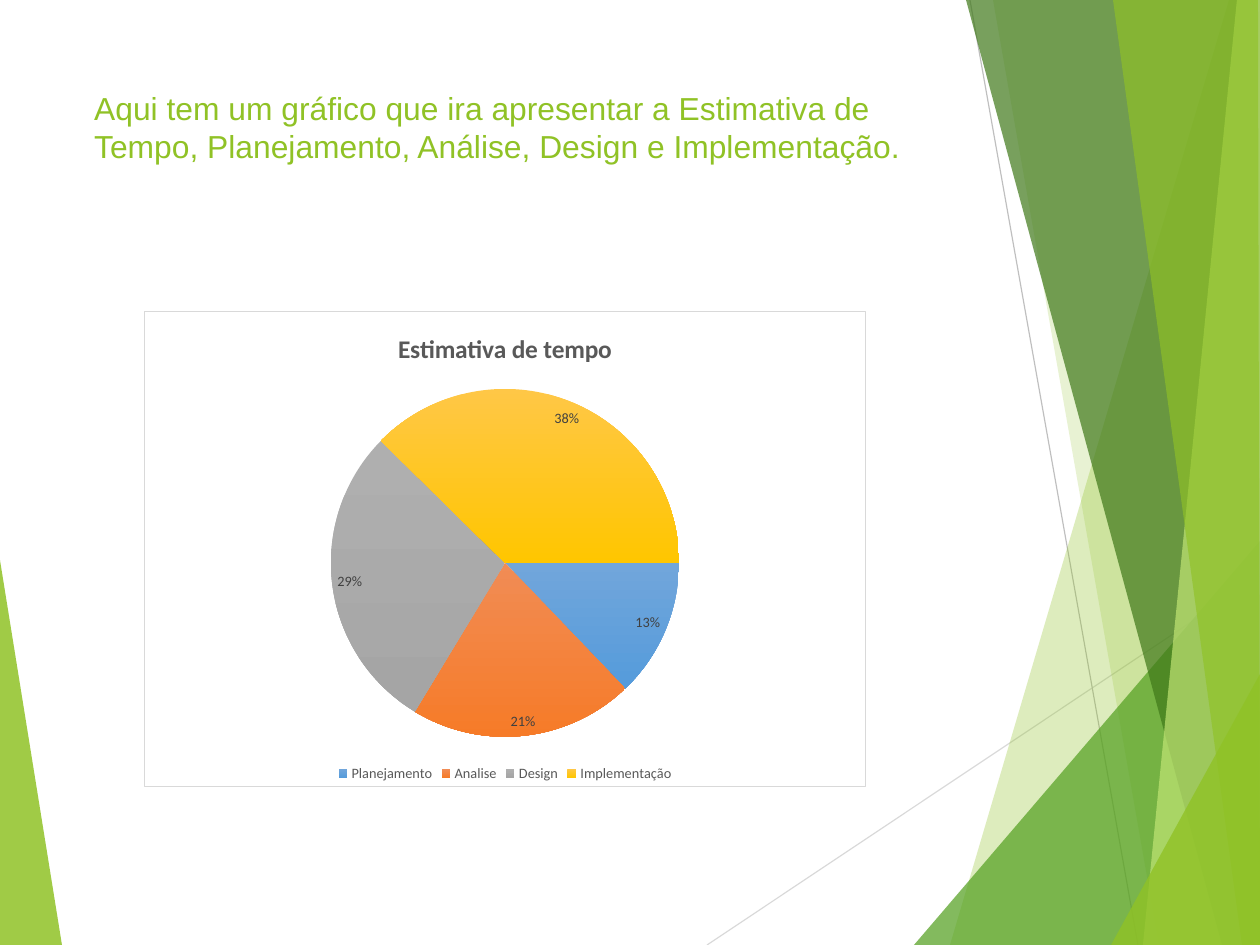
from lxml import etree
from pptx import Presentation
from pptx.chart.data import CategoryChartData
from pptx.dml.color import RGBColor
from pptx.enum.chart import XL_CHART_TYPE as CT, XL_LABEL_POSITION as LP, XL_LEGEND_POSITION as LEG
from pptx.enum.shapes import MSO_CONNECTOR as MC
from pptx.oxml import parse_xml
from pptx.oxml.ns import nsdecls, qn
from pptx.util import Pt

PX = 8000
GREEN = "90C226"
rgb = RGBColor.from_string


def style(font, size, color, name="Calibri", bold=False):
    font.size = Pt(size)
    font.color.rgb = rgb(color)
    font.name = name
    font.bold = bold


prs = Presentation()
prs.slide_width, prs.slide_height = 1260 * PX, 945 * PX
s = prs.slides.add_slide(prs.slide_layouts[6])

rays = [
    ("D9D9D9", (707, 945, 1260, 576)),
    ("BFBFBF", (970, 0, 1138, 945)),
]
for color, ends in rays:
    line = s.shapes.add_connector(MC.STRAIGHT, *[v * PX for v in ends])
    line.line.color.rgb = rgb(color)
    line.line.width = Pt(0.75)
    etree.SubElement(line._element.spPr, qn("a:effectLst"))

facets = [
    (GREEN, 85, [(0, 560), (62, 945), (0, 945)]),
    (GREEN, 30, [(1229, 0), (950, 945), (1260, 945), (1260, 0)]),
    (GREEN, 20, [(993, 0), (1159, 945), (1260, 945), (1260, 0)]),
    ("54A021", 72, [(914, 945), (1260, 541), (1260, 945)]),
    ("3F7819", 70, [(966, 0), (1222, 945), (1260, 945), (1260, 0)]),
    ("C0E474", 70, [(1237, 0), (1143, 945), (1260, 945), (1260, 0)]),
    (GREEN, 65, [(1113, 0), (1242, 945), (1260, 945), (1258, 0)]),
    (GREEN, 80, [(1111, 945), (1260, 674), (1260, 945)]),
]
for color, opacity, points in facets:
    fb = s.shapes.build_freeform(*points[0], scale=PX)
    fb.add_line_segments(points[1:], close=True)
    sp = fb.convert_to_shape()
    sp.shadow.inherit = False
    sp.line.fill.background()
    sp.fill.solid()
    sp.fill.fore_color.rgb = rgb(color)
    clr = sp._element.spPr.find(".//" + qn("a:srgbClr"))
    etree.SubElement(clr, qn("a:alpha"), val=str(opacity * 1000))

tf = s.shapes.add_textbox(83 * PX, 83 * PX, 875 * PX, 182 * PX).text_frame
tf.word_wrap = True
r = tf.paragraphs[0].add_run()
r.text = ("Aqui tem um gráfico que ira apresentar a Estimativa de Tempo, "
          "Planejamento, Análise, Design e Implementação.")
style(r.font, 20, GREEN, "Arial")

slices = [
    ("Planejamento", 13, "71A6DB", "559BDB"),
    ("Analise", 21, "F18C55", "F67B28"),
    ("Design", 29, "AFAFAF", "A5A5A5"),
    ("Implementação", 38, "FFC746", "FFC600"),
]
data = CategoryChartData()
data.categories = [row[0] for row in slices]
data.add_series("Estimativa de tempo", [row[1] for row in slices])
chart = s.shapes.add_chart(CT.PIE, 144 * PX, 311 * PX, 722 * PX, 476 * PX, data).chart
style(chart.font, 10, "000000")

chart.has_title = True
r = chart.chart_title.text_frame.paragraphs[0].add_run()
r.text = "Estimativa de tempo"
style(r.font, 16, "595959", bold=True)

chart.has_legend = True
chart.legend.position = LEG.BOTTOM
chart.legend.include_in_layout = False
style(chart.legend.font, 9, "595959")

plot = chart.plots[0]
plot.vary_by_categories = True
for i, (_, _, top, bottom) in enumerate(slices):
    fill = plot.series[0].points[i].format.fill
    fill.gradient()
    fill.gradient_angle = 270
    for stop, color, position in zip(fill.gradient_stops, (top, bottom), (0, 1)):
        stop.color.rgb = rgb(color)
        stop.position = position

labels = plot.series[0].data_labels
labels.show_percentage = True
labels.show_value = False
labels.number_format = "0%"
labels.number_format_is_linked = False
labels.position = LP.BEST_FIT
style(labels.font, 9, "404040")

pie = chart._chartSpace.find(".//" + qn("c:pieChart"))
for old in pie.findall(qn("c:firstSliceAng")):
    pie.remove(old)
etree.SubElement(pie, qn("c:firstSliceAng"), val="90")

chart._chartSpace.find(qn("c:chart")).addnext(parse_xml(
    f'<c:spPr {nsdecls("c", "a")}>'
    '<a:solidFill><a:srgbClr val="FFFFFF"/></a:solidFill>'
    '<a:ln w="9525"><a:solidFill><a:srgbClr val="D9D9D9"/></a:solidFill></a:ln>'
    '</c:spPr>'))

prs.save("out.pptx")
